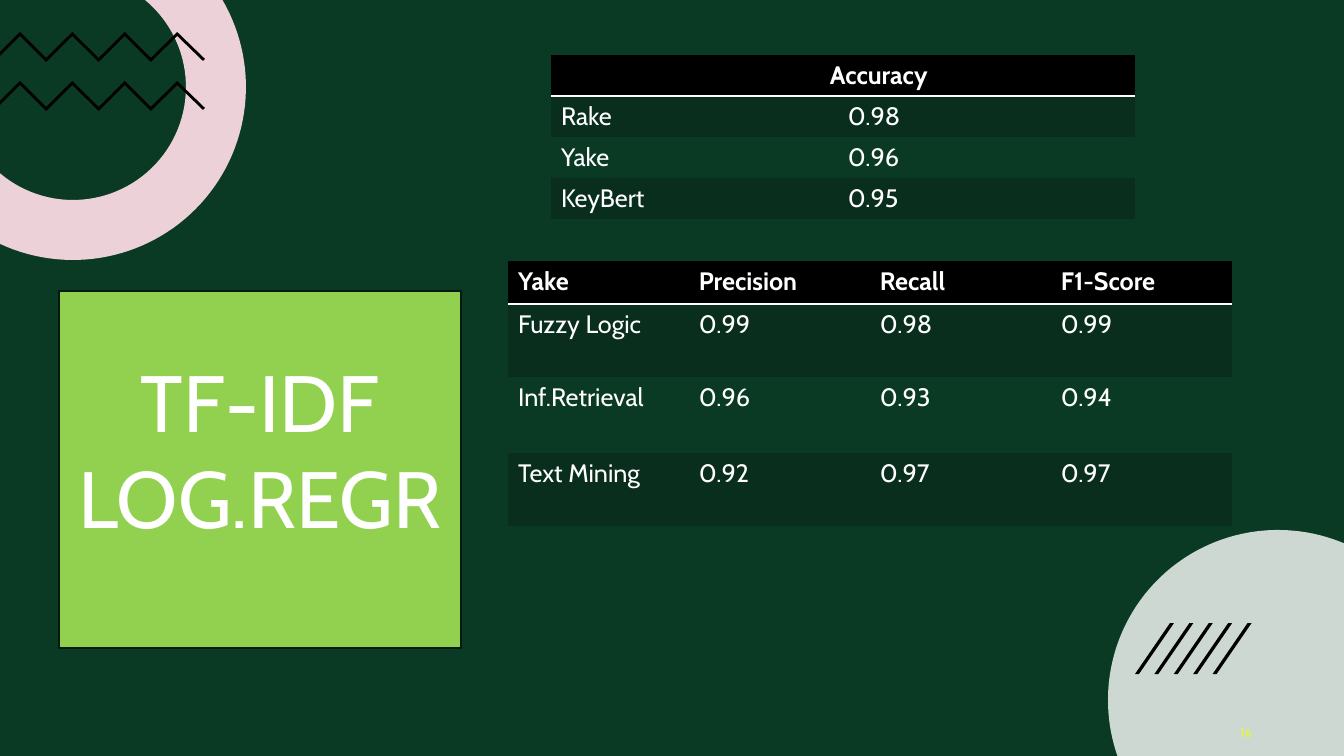
"""Build the TF-IDF logistic regression results slide."""
from math import acos, asin, cos, pi, sin

from lxml import etree
from pptx import Presentation
from pptx.dml.color import RGBColor
from pptx.enum.shapes import MSO_SHAPE
from pptx.enum.text import MSO_ANCHOR, PP_ALIGN
from pptx.oxml.ns import qn
from pptx.util import Pt

RECT = MSO_SHAPE.RECTANGLE
TOP, BOTTOM = MSO_ANCHOR.TOP, MSO_ANCHOR.BOTTOM
CENTER, RIGHT = PP_ALIGN.CENTER, PP_ALIGN.RIGHT
PX = 914400 / 100.8
WIDE, HIGH = 1344, 756
FONT = "Cabin"
PLAIN = "{2D5ABB26-0587-4C30-8999-92F81FD0307C}"

COLORS = {
    "back": "0B3A24", "band": "092E1D", "black": "000000", "white": "FFFFFF",
    "pink": "ECD1D9", "gray": "CED8D3", "green": "92D050", "edge": "051910",
    "lime": "DEF44F",
}
TITLE = ["TF-IDF", "LOG.REGR"]
NUMBER = ["16"]
ACCURACY = [
    ("", "Accuracy"),
    ("Rake", "0.98"),
    ("Yake", "0.96"),
    ("KeyBert", "0.95"),
]
SCORES = [
    ("Yake", "Precision", "Recall", "F1-Score"),
    ("Fuzzy Logic", "0.99", "0.98", "0.99"),
    ("Inf.Retrieval", "0.96", "0.93", "0.94"),
    ("Text Mining", "0.92", "0.97", "0.97"),
]


def px(num):
    return round(num * PX)


def color(name):
    return RGBColor.from_string(COLORS[name])


def paint(shape, name):
    shape.shadow.inherit = False
    shape.fill.solid()
    shape.fill.fore_color.rgb = color(name)
    shape.line.fill.background()


def outline(slide, points, name):
    dots = [(px(x), px(y)) for x, y in points]
    pen = slide.shapes.build_freeform(*dots[0], scale=1)
    pen.add_line_segments(dots[1:], close=True)
    paint(pen.convert_to_shape(), name)


def arc(x, y, radius, start, end, steps=60):
    turns = [start + (end - start) * i / steps for i in range(steps + 1)]
    return [(x + radius * cos(t), y + radius * sin(t)) for t in turns]


def ring(slide, x, y, outer, inner):
    big, small = [arc(x, y, r, asin(-y / r), acos(-x / r)) for r in (outer, inner)]
    outline(slide, big + small[::-1], "pink")


def disc(slide, x, y, radius):
    start = -acos((WIDE - x) / radius)
    end = -pi - asin((HIGH - y) / radius)
    outline(slide, arc(x, y, radius, start, end) + [(WIDE, HIGH)], "gray")


def zigzag(slide, top):
    upper = [(20 + 26.2 * i, top + 26 * (i % 2)) for i in range(7)]
    lower = [(x, y + 4) for x, y in reversed(upper)]
    tip = [(205, top + 27), (203, top + 29)]
    tail = [(0, top + 24), (0, top + 20)]
    outline(slide, upper + tip + lower + tail, "black")


def stripe(slide, x):
    points = [(x, 674), (x + 35, 623), (x + 39, 623), (x + 4, 674)]
    outline(slide, points, "black")


def style(para, size, name, bold=False):
    para.font.name = FONT
    para.font.size = Pt(size)
    para.font.bold = bold
    para.font.color.rgb = color(name)


def label(slide, lines, area, size, name, align, anchor, inset, bold=False):
    frame = slide.shapes.add_textbox(*map(px, area)).text_frame
    frame.word_wrap = True
    frame.vertical_anchor = anchor
    frame.margin_left = frame.margin_right = px(inset)
    frame.margin_top = frame.margin_bottom = px(inset / 2)
    frame.text = "\n".join(lines)
    for para in frame.paragraphs:
        para.alignment = align
        style(para, size, name, bold)


def rule(cell):
    line = etree.Element(qn("a:lnB"), w=str(Pt(2)))
    fill = etree.SubElement(line, qn("a:solidFill"))
    etree.SubElement(fill, qn("a:srgbClr"), val=COLORS["white"])
    cell._tc.get_or_add_tcPr().insert(0, line)


def grid(slide, data, left, top, widths, heights, indent):
    area = (left, top, sum(widths), sum(heights))
    frame = slide.shapes.add_table(len(data), len(widths), *map(px, area))
    table = frame.table
    table._tbl.tblPr.find(qn("a:tableStyleId")).text = PLAIN
    for col, width in zip(table.columns, widths):
        col.width = px(width)
    for r, (row, height) in enumerate(zip(data, heights)):
        table.rows[r].height = px(height)
        for c, text in enumerate(row):
            cell = table.cell(r, c)
            cell.text = text
            style(cell.text_frame.paragraphs[0], 18, "white", r == 0)
            cell.fill.solid()
            shade = "band" if r % 2 else "back"
            cell.fill.fore_color.rgb = color(shade if r else "black")
            if c:
                cell.margin_left = px(indent[min(r, 1)])
            if r == 0:
                rule(cell)


def main():
    deck = Presentation()
    deck.slide_width, deck.slide_height = px(WIDE), px(HIGH)
    slide = deck.slides.add_slide(deck.slide_layouts[6])
    slide.background.fill.solid()
    slide.background.fill.fore_color.rgb = color("back")

    ring(slide, 73, 87, 173, 113)
    for top in (32, 81):
        zigzag(slide, top)
    disc(slide, 1278, 700, 170)
    label(slide, NUMBER, (950, 700, 302, 40), 9, "lime", RIGHT, BOTTOM, 0, True)
    for i in range(5):
        stripe(slide, 1135 + 19.4 * i)

    box = slide.shapes.add_shape(RECT, *map(px, (59, 291, 402, 357)))
    paint(box, "green")
    box.line.color.rgb = color("edge")
    box.line.width = Pt(1.5)
    label(slide, TITLE, (-76, 348, 672, 204), 57, "white", CENTER, TOP, 10)

    grid(slide, ACCURACY, 551, 55, [195, 389], [41] * 4, (84, 102))
    grid(slide, SCORES, 508, 261, [181] * 4, [43, 73, 76, 73], (10, 10))
    deck.save("out.pptx")


if __name__ == "__main__":
    main()
